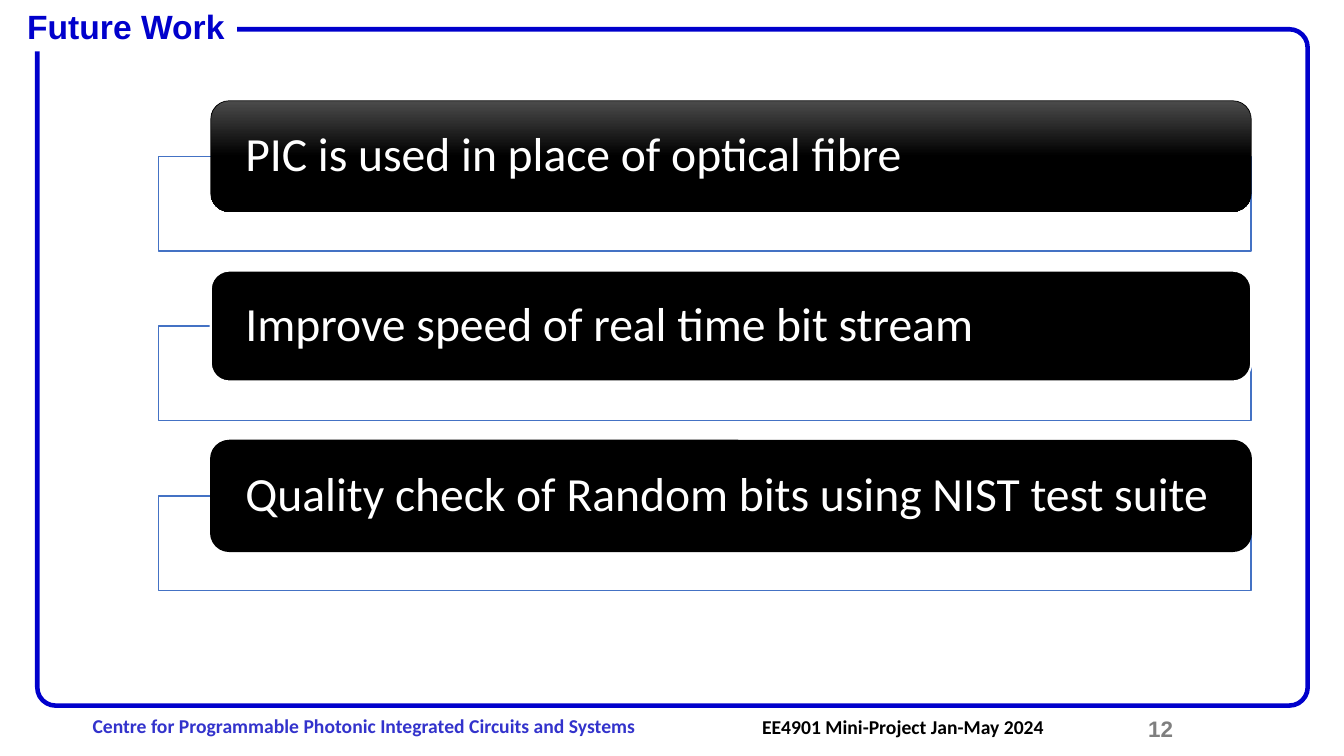
from lxml.etree import SubElement
from pptx import Presentation
from pptx.dml.color import RGBColor
from pptx.enum.shapes import MSO_SHAPE
from pptx.enum.text import MSO_ANCHOR, PP_ALIGN
from pptx.oxml.ns import qn
from pptx.util import Inches, Pt

COLORS = {
    "frame": "0000CC",
    "centre": "3333CC",
    "number": "7F7F7F",
    "outline": "4472C4",
    "sheen": "4B4B4B",
    "black": "000000",
    "white": "FFFFFF",
}
GOALS = [
    ("PIC is used in place of optical fibre", "black", 0.5),
    ("Improve speed of real time bit stream", "white", 1.5),
    ("Quality check of Random bits using NIST test suite", "black", 1),
]
FOOTER = [
    ("Centre for Programmable Photonic Integrated Circuits and Systems",
     (0.82, 6.98, 6.9, 0.44), 0.1, 14, "Calibri", "centre"),
    ("EE4901 Mini-Project Jan-May 2024",
     (7.46, 7.04, 3.62, 0.34), 0.05, 14, "Calibri", "black"),
    ("12", (11.29, 7.05, 0.83, 0.4), 0.05, 16, "Arial", "number"),
]


def color(name):
    """Return the named colour."""
    return RGBColor.from_string(COLORS[name])


def write(shape, text, size, font, ink, bold=True, margins=(0.1, 0.05),
          anchor=MSO_ANCHOR.TOP, wrap=True):
    """Fill a shape with one left-aligned paragraph and return it."""
    frame = shape.text_frame
    frame.word_wrap = wrap
    frame.vertical_anchor = anchor
    frame.margin_left = frame.margin_right = Inches(margins[0])
    frame.margin_top = frame.margin_bottom = Inches(margins[1])
    para = frame.paragraphs[0]
    para.alignment = PP_ALIGN.LEFT
    span = para.add_run()
    span.text = text
    span.font.size = Pt(size)
    span.font.name = font
    span.font.bold = bold
    span.font.color.rgb = color(ink)
    return para


def add_outlined(page, kind, box, line, width):
    """Add a shadowless shape with the given outline."""
    shape = page.shapes.add_shape(kind, *map(Inches, box))
    shape.shadow.inherit = False
    shape.line.color.rgb = color(line)
    shape.line.width = Pt(width)
    return shape


def add_frame(page, box):
    """Draw the rounded border around the slide."""
    border = add_outlined(page, MSO_SHAPE.ROUNDED_RECTANGLE, box, "frame", 3.25)
    border.adjustments[0] = 0.027
    border.fill.background()


def add_title(page, box, text):
    """Lay the title over the top left corner of the border."""
    title = page.shapes.title
    title.left, title.top, title.width, title.height = map(Inches, box)
    title.fill.solid()
    title.fill.fore_color.rgb = color("white")
    write(title, text, 24, "Arial", "frame", wrap=False)
    title.element.getparent().append(title.element)


def add_goal(page, box, text, line, width, shaded):
    """Draw a pale panel with a dark bar overlapping its top."""
    left, top, across, down = box
    panel_box = (left, top + 0.55, across, down - 0.55)
    panel = add_outlined(page, MSO_SHAPE.RECTANGLE, panel_box, "outline", 1)
    panel.fill.solid()
    panel.fill.fore_color.rgb = color("white")
    white = panel.element.spPr.find(qn("a:solidFill"))[0]
    SubElement(white, qn("a:alpha"), val="90000")

    bar_box = (left + 0.52, top, across - 0.52, 1.1)
    bar = add_outlined(page, MSO_SHAPE.ROUNDED_RECTANGLE, bar_box, line, width)
    if shaded:
        bar.fill.gradient()
        bar.fill.gradient_angle = 270
        stops = zip(bar.fill.gradient_stops, ("sheen", "black"), (0, 0.5))
        for stop, name, position in stops:
            stop.color.rgb = color(name)
            stop.position = position
    else:
        bar.fill.solid()
        bar.fill.fore_color.rgb = color("black")
    para = write(bar, text, 34, "Calibri", "white", bold=False,
                 margins=(0.29, 0), anchor=MSO_ANCHOR.MIDDLE)
    para.line_spacing = 0.9


def add_goals(page, box):
    """Stack the goals at an equal pitch inside the box."""
    left, top, across, down = box
    height = 1.49
    pitch = (down - height) / (len(GOALS) - 1)
    for index, (text, line, width) in enumerate(GOALS):
        goal_box = (left, top + index * pitch, across, height)
        add_goal(page, goal_box, text, line, width, shaded=index == 0)


def add_footer(page):
    """Write the centre, the course and the page number."""
    for text, box, margin, size, font, ink in FOOTER:
        label = page.shapes.add_textbox(*map(Inches, box))
        write(label, text, size, font, ink, margins=(0.1, margin))


def main():
    """Build the slide and save it."""
    deck = Presentation()
    deck.slide_width, deck.slide_height = Inches(13.33), Inches(7.5)
    page = deck.slides.add_slide(deck.slide_layouts.get_by_name("Title Only"))
    add_frame(page, (0.37, 0.29, 12.6, 6.71))
    add_footer(page)
    add_title(page, (0.17, 0.01, 2.18, 0.5), "Future Work")
    add_goals(page, (1.57, 1, 10.84, 4.86))
    deck.save("out.pptx")


if __name__ == "__main__":
    main()
